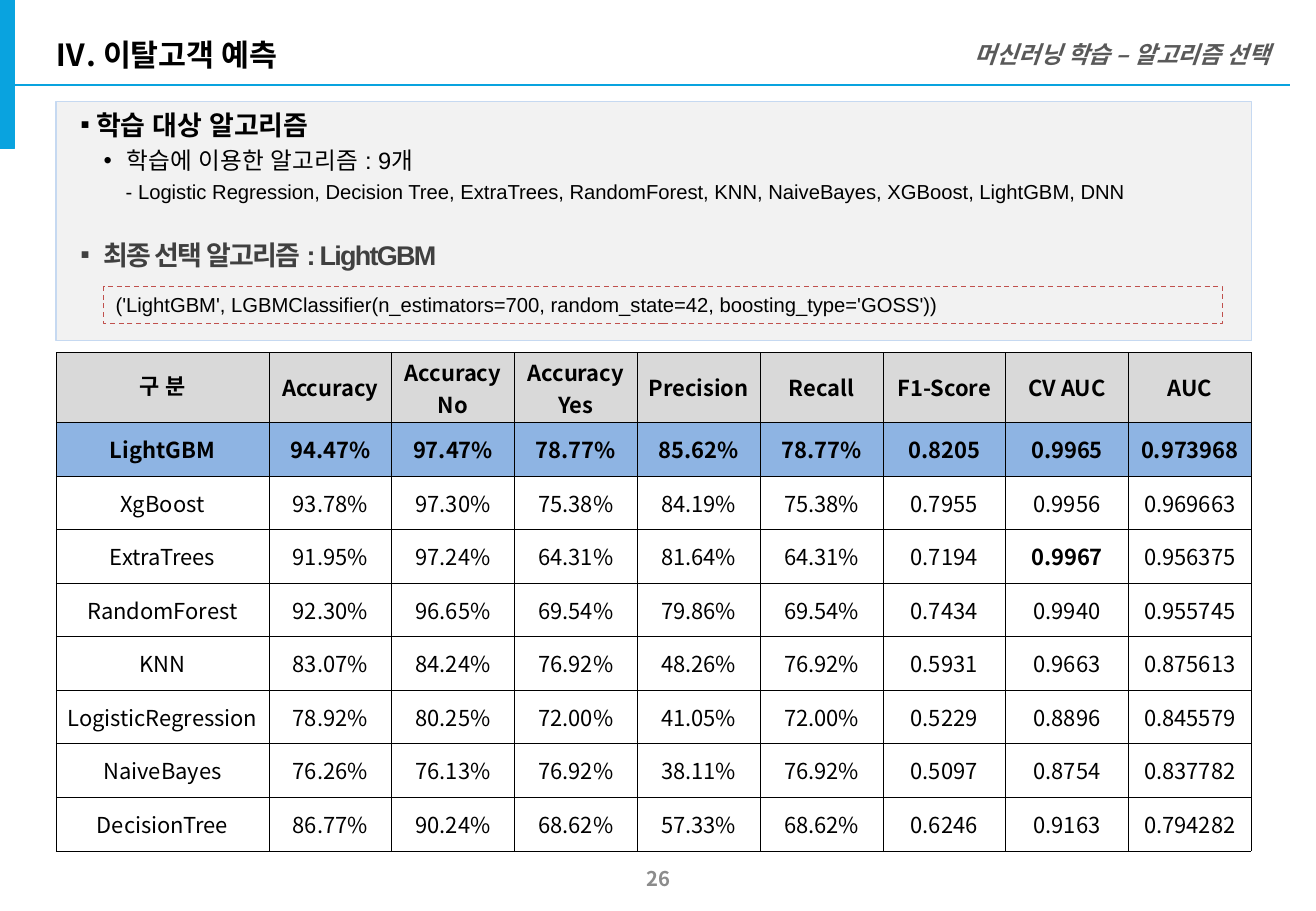
from dataclasses import dataclass

from lxml.etree import SubElement
from pptx import Presentation
from pptx.dml.color import RGBColor
from pptx.enum.dml import MSO_LINE
from pptx.enum.shapes import MSO_CONNECTOR as Link, MSO_SHAPE as Shape
from pptx.enum.text import MSO_ANCHOR as Anchor, PP_ALIGN as Align
from pptx.oxml.ns import qn
from pptx.util import Cm, Pt


@dataclass(frozen=True)
class Theme:
    blue: str = "09A3DF"
    black: str = "000000"
    dark: str = "404040"
    topic: str = "595959"
    page: str = "8C8C8C"
    panel: str = "F2F2F2"
    edge: str = "C6D9F1"
    red: str = "C0504D"
    head: str = "D9D9D9"
    best: str = "8EB4E3"
    sans: str = "Arial"
    kor: str = "Noto Sans CJK KR"
    title: int = 18
    large: int = 16
    mid: int = 14
    cell: int = 13
    small: int = 12


T = Theme()

# Panel lines: text, size, colour, bold, bullet, margin, indent, space before, tracking
POINTS = [
    ("학습 대상 알고리즘", T.large, T.black, True, "▪", 0.33, -0.33, 0, 0),
    ("학습에 이용한 알고리즘 : 9개", T.mid, T.black, False, "•", 0.97, -0.48, 0, 0),
    ("- Logistic Regression, Decision Tree, ExtraTrees, RandomForest, KNN, "
     "NaiveBayes, XGBoost, LightGBM, DNN", T.small, T.black, False, None, 0.95, 0, 0, 0),
    ("최종 선택 알고리즘 : LightGBM", T.large, T.dark, True, "▪", 0.48, -0.48, 16.5, -100),
]
CODE = "('LightGBM', LGBMClassifier(n_estimators=700, random_state=42, boosting_type='GOSS'))"

HEADS = ["구 분", "Accuracy", "Accuracy\nNo", "Accuracy\nYes", "Precision",
         "Recall", "F1-Score", "CV AUC", "AUC"]
SCORES = [
    ["LightGBM", "94.47%", "97.47%", "78.77%", "85.62%", "78.77%", "0.8205", "0.9965", "0.973968"],
    ["XgBoost", "93.78%", "97.30%", "75.38%", "84.19%", "75.38%", "0.7955", "0.9956", "0.969663"],
    ["ExtraTrees", "91.95%", "97.24%", "64.31%", "81.64%", "64.31%", "0.7194", "0.9967", "0.956375"],
    ["RandomForest", "92.30%", "96.65%", "69.54%", "79.86%", "69.54%", "0.7434", "0.9940", "0.955745"],
    ["KNN", "83.07%", "84.24%", "76.92%", "48.26%", "76.92%", "0.5931", "0.9663", "0.875613"],
    ["LogisticRegression", "78.92%", "80.25%", "72.00%", "41.05%", "72.00%", "0.5229", "0.8896", "0.845579"],
    ["NaiveBayes", "76.26%", "76.13%", "76.92%", "38.11%", "76.92%", "0.5097", "0.8754", "0.837782"],
    ["DecisionTree", "86.77%", "90.24%", "68.62%", "57.33%", "68.62%", "0.6246", "0.9163", "0.794282"],
]
PEAK = (3, 7)  # best CV AUC


def rgb(tone):
    return RGBColor.from_string(tone)


def style(para, size, tone=T.black, bold=False, face=T.kor, align=Align.LEFT, italic=False):
    para.alignment = align
    for run in para.runs:
        font = run.font
        font.name, font.size, font.bold, font.italic = face, Pt(size), bold, italic
        font.color.rgb = rgb(tone)
        SubElement(font._element, qn("a:ea"), typeface=face)


def inset(frame, left, top, right, bottom):
    frame.margin_left, frame.margin_top = Cm(left), Cm(top)
    frame.margin_right, frame.margin_bottom = Cm(right), Cm(bottom)


def block(slide, box, fill, line):
    rect = slide.shapes.add_shape(Shape.RECTANGLE, *map(Cm, box))
    rect.shadow.inherit = False
    if fill:
        rect.fill.solid()
        rect.fill.fore_color.rgb = rgb(fill)
    else:
        rect.fill.background()
    rect.line.color.rgb = rgb(line)
    rect.line.width = Pt(0.75)
    rect.text_frame.word_wrap = True
    rect.text_frame.vertical_anchor = Anchor.TOP
    return rect


def label(slide, box, text, size, tone, align, italic=False):
    frame = slide.shapes.add_textbox(*map(Cm, box)).text_frame
    frame.word_wrap = True
    frame.vertical_anchor = Anchor.MIDDLE
    inset(frame, 0, 0.13, 0, 0.13)
    frame.text = text
    style(frame.paragraphs[0], size, tone, True, align=align, italic=italic)


def header(slide, box):
    """Side bar, rule, title and topic."""
    x, y, w, h = box
    rule = slide.shapes.add_connector(Link.STRAIGHT, Cm(x + 0.08), Cm(y + h),
                                      Cm(x + w), Cm(y + h))
    rule.line.color.rgb = rgb(T.blue)
    rule.line.width = Pt(1.5)
    SubElement(rule._element.spPr, qn("a:effectLst"))
    block(slide, (x, y, 0.3, 3.1), T.blue, T.blue)
    label(slide, (x + 1.17, y + 0.64, 12, 1), "Ⅳ. 이탈고객 예측", T.title, T.black, Align.LEFT)
    label(slide, (x + w - 12.4, y + 0.64, 12, 1), "머신러닝 학습 – 알고리즘 선택",
          T.mid, T.topic, Align.RIGHT, True)


def panel(slide, box):
    """Bulleted summary with the chosen model."""
    x, y, w, h = box
    frame = block(slide, box, T.panel, T.edge).text_frame
    inset(frame, 0.51, 0, 0, 0)
    frame.text = "\n".join(point[0] for point in POINTS)
    for para, point in zip(frame.paragraphs, POINTS):
        _, size, tone, bold, mark, left, indent, gap, track = point
        style(para, size, tone, bold, T.sans)
        para.line_spacing = 1.2
        para.space_before = Pt(gap)
        props = para._p.get_or_add_pPr()
        props.set("marL", str(Cm(left)))
        props.set("indent", str(Cm(indent)))
        if mark:
            SubElement(props, qn("a:buFont"), typeface=T.sans)
            SubElement(props, qn("a:buChar"), char=mark)
        if track:
            para.runs[0].font._element.set("spc", str(track))

    # Model settings
    code = block(slide, (x + 1, y + 3.86, w - 1.6, 0.77), None, T.red)
    code.line.dash_style = MSO_LINE.DASH
    inset(code.text_frame, 0.25, 0.13, 0.25, 0.13)
    code.text_frame.text = CODE
    style(code.text_frame.paragraphs[0], T.small, face=T.sans)


def border(cell):
    props = cell._tc.get_or_add_tcPr()
    for i, side in enumerate(("lnL", "lnR", "lnT", "lnB")):
        line = props.makeelement(qn("a:" + side), {"w": str(Pt(0.25))})
        fill = SubElement(line, qn("a:solidFill"))
        SubElement(fill, qn("a:srgbClr"), val=T.black)
        props.insert(i, line)


def scores(slide, box):
    """Score table, best model first."""
    x, y, w, h = box
    rows = [HEADS] + SCORES
    first, top = 4.45, 1.46
    table = slide.shapes.add_table(len(rows), len(HEADS), *map(Cm, box)).table
    table.first_row = table.horz_banding = False
    for c, col in enumerate(table.columns):
        col.width = Cm((w - first) / (len(HEADS) - 1) if c else first)
    for r, row in enumerate(table.rows):
        row.height = Cm((h - top) / len(SCORES) if r else top)
        for c, cell in enumerate(row.cells):
            if r < 2:
                cell.fill.solid()
                cell.fill.fore_color.rgb = rgb((T.head, T.best)[r])
            else:
                cell.fill.background()
            border(cell)
            inset(cell, 0.18, 0.08, 0.18, 0.08)
            cell.vertical_anchor = Anchor.MIDDLE
            cell.text_frame.text = rows[r][c]
            face = T.kor if r or c else T.sans
            for para in cell.text_frame.paragraphs:
                style(para, T.cell, T.black, r < 2 or (r, c) == PEAK, face, Align.CENTER)


def main():
    deck = Presentation()
    deck.slide_width, deck.slide_height = Cm(27.52), Cm(19.05)
    slide = deck.slides.add_slide(deck.slide_layouts[6])
    header(slide, (0, 0, 26.97, 1.78))
    panel(slide, (1.17, 2.13, 25, 5))
    scores(slide, (1.17, 7.37, 25, 10.42))
    label(slide, (13.13, 17.86, 1.27, 1), "26", T.small, T.page, Align.CENTER)
    deck.save("out.pptx")


if __name__ == "__main__":
    main()
